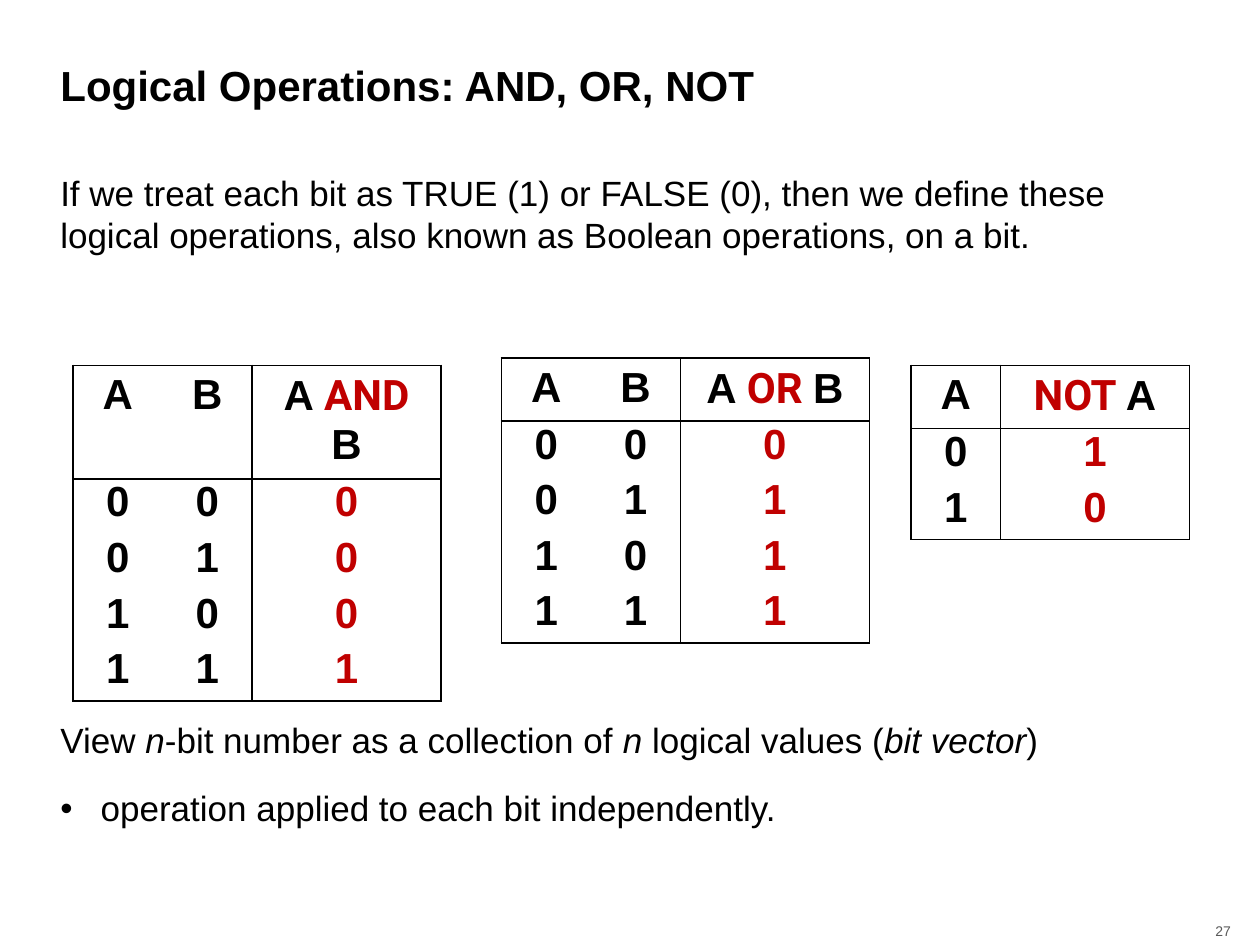
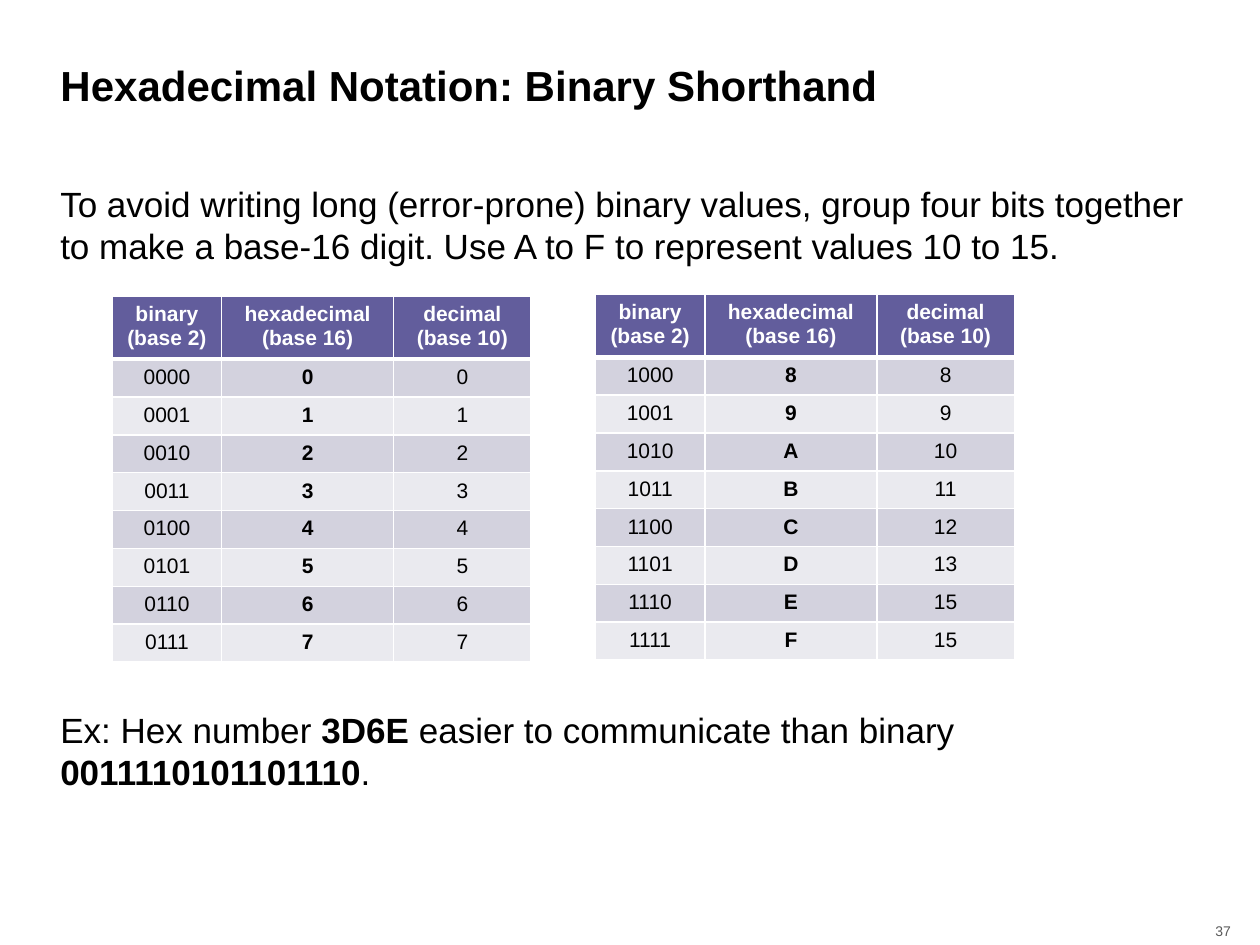
from lxml import etree
from pptx import Presentation
from pptx.dml.color import RGBColor
from pptx.enum.text import MSO_ANCHOR, PP_ALIGN
from pptx.oxml.ns import qn
from pptx.util import Inches, Pt

CENTER, LEFT, RIGHT = PP_ALIGN.CENTER, PP_ALIGN.LEFT, PP_ALIGN.RIGHT
MIDDLE = MSO_ANCHOR.MIDDLE
TITLE_ONLY = 5

COLORS = {
    "ink": "000000",
    "paper": "FFFFFF",
    "result": "C00000",
    "page": "595959",
    "head": "625D9C",
    "odd": "D3D2DE",
    "even": "EAEAEF",
}
BODY_FONT, OPERATOR_FONT = "Arial", "Roboto"

deck = Presentation()
deck.slide_width, deck.slide_height = Inches(10), Inches(7.5)
# The grid has 100 columns and 75 rows.
COL, ROW = deck.slide_width // 100, deck.slide_height // 75
MARGIN, TEXT_WIDTH = 3.8, 92.5


def add_runs(paragraph, runs, size, color="ink", bold=False, align=LEFT):
    """Add (text, overrides) runs; overrides may set color, font, bold and italic."""
    paragraph.alignment = align
    for text, style in runs:
        run = paragraph.add_run()
        run.text = text
        run.font.size = Pt(size)
        run.font.name = style.get("font", BODY_FONT)
        run.font.bold = style.get("bold", bold)
        run.font.italic = style.get("italic", False)
        run.font.color.rgb = RGBColor.from_string(COLORS[style.get("color", color)])


def style_cell(cell, fill, line, widths):
    """Fill a cell and draw its left, right, top and bottom edges; width 0 is no line."""
    properties = cell._tc.get_or_add_tcPr()
    for side, width in zip("LRTB", widths):
        edge = etree.SubElement(properties, qn(f"a:ln{side}"), w=str(Pt(width)))
        if width:
            solid = etree.SubElement(edge, qn("a:solidFill"))
            etree.SubElement(solid, qn("a:srgbClr"), val=COLORS[line])
        else:
            etree.SubElement(edge, qn("a:noFill"))
    cell.fill.solid()
    cell.fill.fore_color.rgb = RGBColor.from_string(COLORS[fill])


# Titles, body text and page numbers
ITALIC, BOLD = {"italic": True}, {"bold": True}
# Each body text: top row, height in rows, runs, bullet line or None
PAGES = [
    ("Logical Operations: AND, OR, NOT", "27", [
        (13.1, 8.1, [("If we treat each bit as TRUE (1) or FALSE (0), then we define these "
                      "logical operations, also known as Boolean operations, on a bit.", {})], None),
        (56.5, 10.6, [("View ", {}), ("n", ITALIC), ("-bit number as a collection of ", {}),
                      ("n", ITALIC), (" logical values (", {}), ("bit vector", ITALIC),
                      (")", {})], "operation applied to each bit independently."),
    ]),
    ("Hexadecimal Notation: Binary Shorthand", "37", [
        (14, 8.6, [("To avoid writing long (error-prone) binary values, group four bits together "
                    "to make a base-16 digit. Use A to F to represent values 10 to 15.", {})], None),
        (55.7, 8.6, [("Ex: Hex number ", {}), ("3D6E", BOLD),
                     (" easier to communicate than binary ", {}),
                     ("0011110101101110", BOLD), (".", {})], None),
    ]),
]

slides = []
for heading, page_number, bodies in PAGES:
    slide = deck.slides.add_slide(deck.slide_layouts[TITLE_ONLY])
    slides.append(slide)
    title = slide.shapes.title
    title.left, title.top = int(MARGIN * COL), int(3.3 * ROW)
    title.width, title.height = int(TEXT_WIDTH * COL), int(7.4 * ROW)
    title.text_frame.vertical_anchor = MIDDLE
    title_line = title.text_frame.paragraphs[0]
    title_line.line_spacing = 0.9
    add_runs(title_line, [(heading, {})], 24, bold=True)

    for top, height, runs, bullet in bodies:
        body = slide.shapes.add_textbox(int(MARGIN * COL), int(top * ROW),
                                        int(TEXT_WIDTH * COL), int(height * ROW)).text_frame
        body.word_wrap = True
        statement = body.paragraphs[0]
        statement.line_spacing, statement.space_after = Pt(24), Pt(8)
        add_runs(statement, runs, 20)
        if bullet:
            point = body.add_paragraph()
            point.line_spacing, point.space_before = 0.9, Pt(10)
            add_runs(point, [(bullet, {})], 20)
            indent = Inches(0.32)
            point_properties = point._p.get_or_add_pPr()
            point_properties.set("marL", str(indent))
            point_properties.set("indent", str(-indent))
            etree.SubElement(point_properties, qn("a:buFont"), typeface=BODY_FONT)
            etree.SubElement(point_properties, qn("a:buChar"), char="•")

    footer = slide.shapes.add_textbox(int(94.3 * COL), 73 * ROW,
                                      int(3.9 * COL), int(1.8 * ROW)).text_frame
    footer.margin_left = footer.margin_right = Inches(0.05)
    footer.vertical_anchor = MIDDLE
    footer.word_wrap = True
    add_runs(footer.paragraphs[0], [(page_number, {})], 8, color="page", align=RIGHT)

logic_slide, hex_slide = slides

# Truth tables: left column, top row, header of the result, rows of bits
RESULT = {"color": "result"}
OPERATOR = {"color": "result", "font": OPERATOR_FONT}
BIT_PAIRS = ["00", "01", "10", "11"]
TRUTH_TABLES = [
    (5.8, 29, [("A ", {}), ("AND ", OPERATOR), ("B", {})],
     [pair + bit for pair, bit in zip(BIT_PAIRS, "0001")]),
    (39.8, 28.4, [("A ", {}), ("OR ", OPERATOR), ("B", {})],
     [pair + bit for pair, bit in zip(BIT_PAIRS, "0111")]),
    (72.3, 29, [("NOT ", OPERATOR), ("A", {})], ["01", "10"]),
]

for left, top, result_header, bit_rows in TRUTH_TABLES:
    last_col, last_row = len(bit_rows[0]) - 1, len(bit_rows)
    widths = [7.1] * last_col + [15]
    heights = [4.8] + [3.8] * last_row
    truth = logic_slide.shapes.add_table(last_row + 1, last_col + 1, int(left * COL), int(top * ROW),
                                         int(sum(widths) * COL), int(sum(heights) * ROW)).table
    for column, width in zip(truth.columns, widths):
        column.width = int(width * COL)
    for row, height in zip(truth.rows, heights):
        row.height = int(height * ROW)

    header = [[(name, {})] for name in "AB"[:last_col]] + [result_header]
    bits = [[[(bit, RESULT if c == last_col else {})] for c, bit in enumerate(bit_row)]
            for bit_row in bit_rows]
    for r, cells in enumerate([header] + bits):
        for c, runs in enumerate(cells):
            cell = truth.cell(r, c)
            style_cell(cell, "paper", "ink",
                       (c in (0, last_col), c >= last_col - 1, r <= 1, r in (0, last_row)))
            entry = cell.text_frame.paragraphs[0]
            if r:
                entry.line_spacing = 0.85
            add_runs(entry, runs, 24, bold=True, align=CENTER)

# Hexadecimal tables: left column, top row, first value
HEX_HEADERS = [("binary", "(base 2)"), ("hexadecimal", "(base 16)"), ("decimal", "(base 10)")]
HEX_WIDTHS = [8.7, 13.65, 10.9]
DIGITS_PER_TABLE = 8
DECIMAL_SHOWN = {14: 15}

for left, top, first in [(8.9, 23.5, 0), (47.25, 23.35, DIGITS_PER_TABLE)]:
    digits = hex_slide.shapes.add_table(DIGITS_PER_TABLE + 1, len(HEX_HEADERS),
                                        int(left * COL), int(top * ROW), int(sum(HEX_WIDTHS) * COL),
                                        int(2.6 * (DIGITS_PER_TABLE + 1) * ROW)).table
    for column, width in zip(digits.columns, HEX_WIDTHS):
        column.width = int(width * COL)
    for row in digits.rows:
        row.height = int(2.6 * ROW)

    for c, (name, base) in enumerate(HEX_HEADERS):
        cell = digits.cell(0, c)
        style_cell(cell, "head", "paper", (1, 1, 1, 3))
        label = cell.text_frame.paragraphs[0]
        add_runs(label, [(name, {})], 12, "paper", True, CENTER)
        label.add_line_break()
        add_runs(label, [(base, {})], 12, "paper", True, CENTER)

    for r in range(1, DIGITS_PER_TABLE + 1):
        value = first + r - 1
        notations = [f"{value:04b}", f"{value:X}", str(DECIMAL_SHOWN.get(value, value))]
        for c, notation in enumerate(notations):
            cell = digits.cell(r, c)
            style_cell(cell, "odd" if r % 2 else "even", "paper", (1, 1, 3 if r == 1 else 1, 1))
            add_runs(cell.text_frame.paragraphs[0], [(notation, {})], 12,
                     bold=c == 1, align=CENTER)

deck.save("out.pptx")
